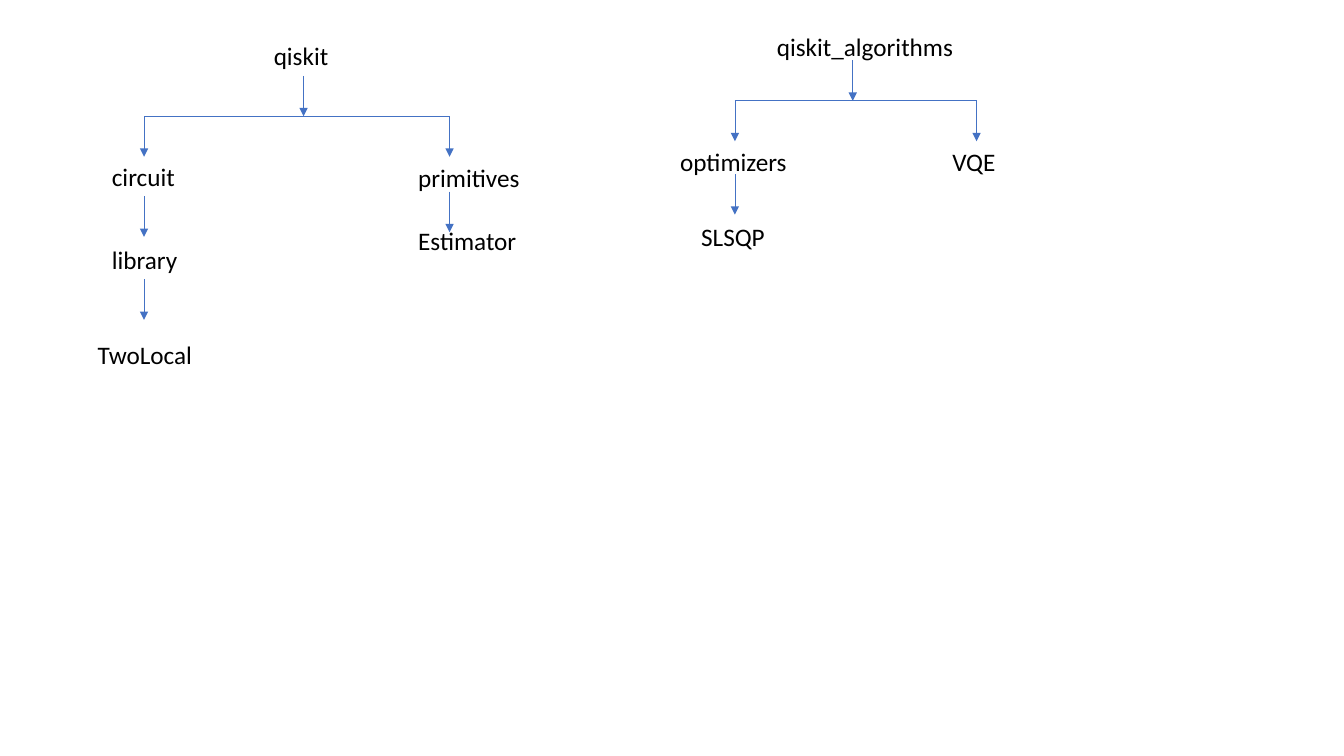
from pptx import Presentation
from pptx import util as u
from pptx.dml import color
from pptx.enum import shapes, text
from pptx.oxml import ns
from lxml import etree

COLORS = {"line": "4472C4", "text": "000000"}
STEP = 1.02

QISKIT = {
    "root": ("qiskit", 4.44, 0, 1.91),
    "stem": (5.44, 1.02),
    "limbs": [
        (1.42, [4.06, 6.15], [
            ("circuit", 0.36, 3.05, 2.11),
            ("library", 0.36, 5.13, 2.18),
            ("TwoLocal", 0, 7.54, 2.92),
        ]),
        (9.12, [3.94], [
            ("primitives", 8.08, 3.07, 3.1),
            ("Estimator", 8.08, 4.67, 3.0),
        ]),
    ],
}
SOLVERS = {
    "root": ("qiskit_algorithms", 2.44, 0, 5.0),
    "stem": (4.6, 0.86),
    "limbs": [
        (1.63, [3.73], [
            ("optimizers", 0, 2.9, 3.23),
            ("SLSQP", 0.53, 4.8, 2.84),
        ]),
        (7.72, [], [("VQE", 6.86, 2.9, 1.63)]),
    ],
}


def add_line(slide, start, end, arrow=False):
    line = slide.shapes.add_connector(
        shapes.MSO_CONNECTOR.STRAIGHT, *map(u.Cm, start + end))
    line.line.color.rgb = color.RGBColor.from_string(COLORS["line"])
    line.line.width = u.Pt(0.5)
    if arrow:
        tail = etree.SubElement(line.line._get_or_add_ln(), ns.qn("a:tailEnd"))
        tail.set("type", "triangle")
    etree.SubElement(line._element.spPr, ns.qn("a:effectLst"))


def add_arrow(slide, x, y):
    add_line(slide, (x, y), (x, y + STEP), arrow=True)


def add_label(slide, words, x, y, width, wrap):
    label = slide.shapes.add_textbox(*map(u.Cm, (x, y, width, STEP)))
    frame = label.text_frame
    frame.word_wrap = wrap
    frame.auto_size = text.MSO_AUTO_SIZE.SHAPE_TO_FIT_TEXT
    line = frame.paragraphs[0]
    line.text = words
    line.font.name = "Calibri"
    line.font.size = u.Pt(18)
    line.font.color.rgb = color.RGBColor.from_string(COLORS["text"])


def draw_tree(slide, left, top, tree, wrap):
    stem, rise = tree["stem"]
    limbs = tree["limbs"]
    bar = top + rise + STEP
    add_arrow(slide, left + stem, top + rise)
    add_line(slide, (left + limbs[0][0], bar), (left + limbs[-1][0], bar))
    labels = [tree["root"]]
    for x, drops, names in limbs:
        for y in [bar] + [top + drop for drop in drops]:
            add_arrow(slide, left + x, y)
        labels += names
    for words, x, y, width in labels:
        add_label(slide, words, left + x, top + y, width, wrap)


def main():
    deck = Presentation()
    deck.slide_width, deck.slide_height = u.Cm(33.87), u.Cm(19.05)
    slide = deck.slides.add_slide(deck.slide_layouts[6])
    draw_tree(slide, 2.21, 0.89, QISKIT, wrap=False)
    draw_tree(slide, 16.89, 0.66, SOLVERS, wrap=True)
    deck.save("out.pptx")


if __name__ == "__main__":
    main()
